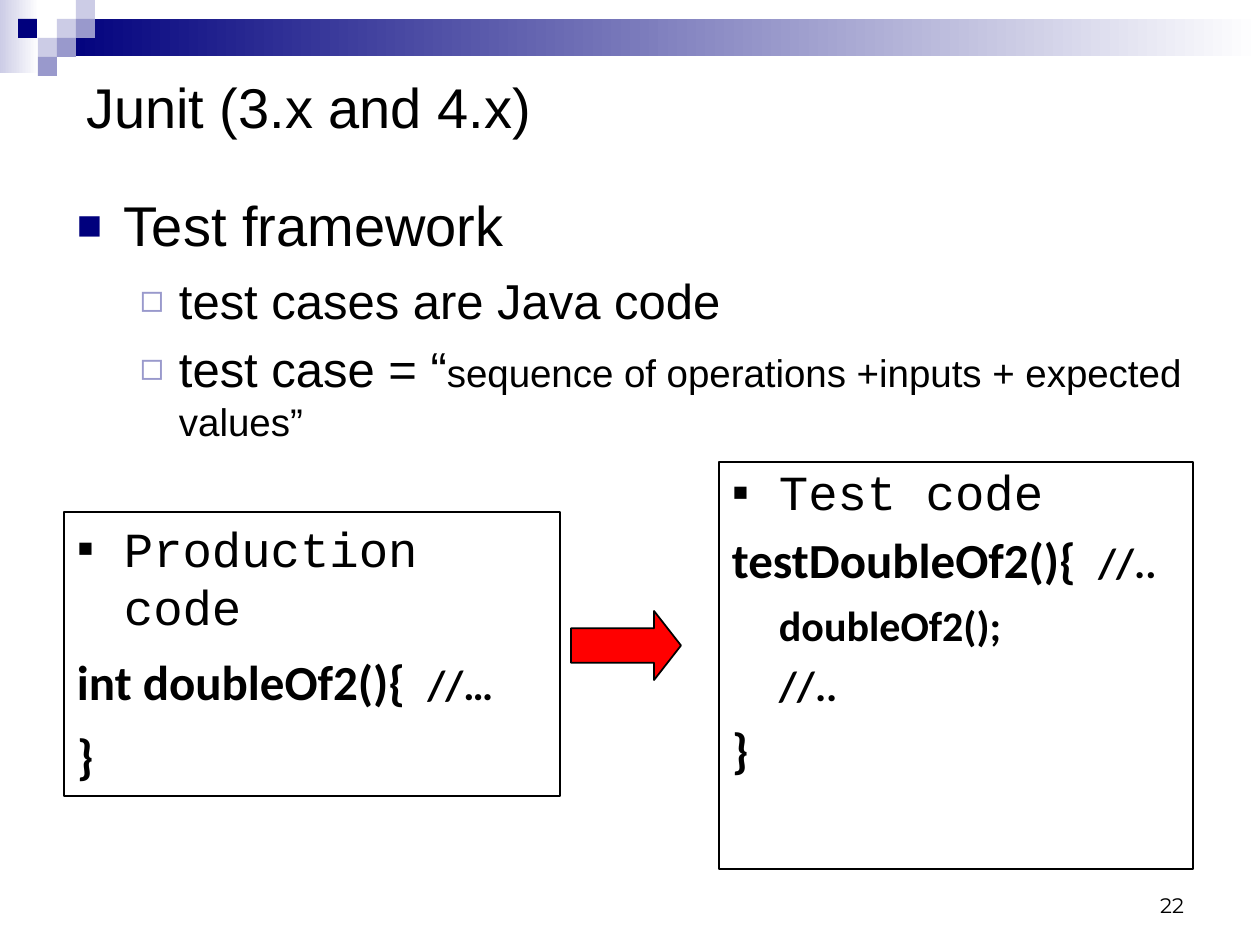
import pptx
import pptx.util
import pptx.dml.color
import pptx.enum.shapes
import pptx.enum.text
import pptx.oxml.ns
import lxml.etree

PX = 914400 / 126
HUES = {"navy": "00007D", "mid": "9999CC", "pale": "CCCCE6",
        "white": "FFFFFF", "black": "000000", "red": "FF0000"}
KIND = pptx.enum.shapes.MSO_SHAPE
ALIGN = pptx.enum.text.PP_ALIGN
ANCHOR = pptx.enum.text.MSO_ANCHOR


def emu(px):
    return round(px * PX)


def hue(name):
    return pptx.dml.color.RGBColor.from_string(HUES[name])


def assign(item, vals):
    for key, val in vals.items():
        setattr(item, key, val)


def place(shape, box):
    assign(shape, dict(zip(("left", "top", "width", "height"), map(emu, box))))


def draw(slide, kind, box, fill=None, line=None):
    shape = slide.shapes.add_shape(kind, *map(emu, box))
    shape.shadow.inherit = False
    if fill:
        shape.fill.solid()
        shape.fill.fore_color.rgb = hue(fill)
    else:
        shape.fill.background()
    if line:
        shape.line.color.rgb = hue("black")
        shape.line.width = pptx.util.Pt(line)
    else:
        shape.line.fill.background()
    return shape


def fade(slide, box, first):
    shape = draw(slide, KIND.RECTANGLE, box)
    shape.fill.gradient()
    shape.fill.gradient_angle = 0
    for stop, name in zip(shape.fill.gradient_stops, (first, "white")):
        stop.color.rgb = hue(name)


def setup(shape, anchor):
    frame = shape.text_frame
    assign(frame, {"word_wrap": True, "vertical_anchor": anchor,
                   "auto_size": pptx.enum.text.MSO_AUTO_SIZE.NONE,
                   "margin_left": emu(13), "margin_right": emu(13),
                   "margin_top": emu(6), "margin_bottom": emu(6)})
    return frame


def write(para, runs, form):
    assign(para, {"alignment": ALIGN.LEFT, "line_spacing": 1.0, **form})
    for text, size, font, bold in runs:
        run = para.add_run()
        run.text = text
        assign(run.font, {"size": pptx.util.Pt(size), "name": font, "bold": bold})
        run.font.color.rgb = hue("black")


def node(root, tag, **attrs):
    return lxml.etree.SubElement(root, pptx.oxml.ns.qn("a:" + tag), attrs)


def indent(para, left, hang, mark=None, color="black", scale=100):
    props = para._p.get_or_add_pPr()
    props.set("marL", str(emu(left)))
    props.set("indent", str(-emu(hang)))
    if mark:
        node(node(props, "buClr"), "srgbClr", val=HUES[color])
        node(props, "buSzPct", val=str(scale * 1000))
        node(props, "buFont", typeface="Arial")
        node(props, "buChar", char=mark)
    else:
        node(props, "buNone")
    node(node(props, "tabLst"), "tab", pos=str(emu(left)), algn="l")


def banner(slide, box):
    left, top, width, height = box
    side = height // 4
    fade(slide, (left, top, 39, height - 3), "pale")
    fade(slide, (left + 3 * side, top + side, width - 3 * side, 2 * side - 1), "navy")
    for col, row, name in ((3, 1, "pale"), (4, 0, "pale"), (4, 1, "mid"),
                           (2, 2, "pale"), (1, 1, "navy"), (3, 2, "mid"),
                           (2, 3, "mid")):
        draw(slide, KIND.RECTANGLE,
             (left + side * col - (col == 1), top + side * row, side, side), name)


def heading(slide, box, text):
    shape = slide.shapes.title
    place(shape, box)
    frame = setup(shape, ANCHOR.MIDDLE)
    write(frame.paragraphs[0], [(text, 32, "Arial", False)], {})


def points(slide, box, rows):
    shape = slide.placeholders[1]
    place(shape, box)
    frame = setup(shape, ANCHOR.TOP)
    marks = ((47, 47, "■", "navy", 75), (102, 39, "◻", "mid", 80))
    for num, (level, gap, runs) in enumerate(rows):
        para = frame.add_paragraph() if num else frame.paragraphs[0]
        write(para, [(text, size, "Arial", False) for text, size in runs],
              {"level": level, "space_before": pptx.util.Pt(gap)})
        indent(para, *marks[level])


def panel(slide, box, title, rows, pitch):
    frame = setup(draw(slide, KIND.RECTANGLE, box, line=0.75), ANCHOR.TOP)
    form = {"line_spacing": pitch, "space_before": pptx.util.Pt(7),
            "space_after": pptx.util.Pt(1.8)}
    head = frame.paragraphs[0]
    write(head, [(title, 28, "Courier New", False)], form)
    indent(head, 47, 47, "▪")
    for runs in rows:
        para = frame.add_paragraph()
        write(para, [(text, size, "Calibri", True) for text, size in runs], form)
        indent(para, 47, 47)


def arrow(slide, box):
    shape = draw(slide, KIND.RIGHT_ARROW, box, "red", 1)
    shape.adjustments[0] = 0.5
    shape.adjustments[1] = 0.39


def number(slide, box, text):
    frame = setup(slide.shapes.add_textbox(*map(emu, box)), ANCHOR.BOTTOM)
    write(frame.paragraphs[0], [(text, 12, "Montserrat", False)],
          {"alignment": ALIGN.RIGHT})


def main():
    deck = pptx.Presentation()
    assign(deck, {"slide_width": emu(1260), "slide_height": emu(945)})
    slide = deck.slides.add_slide(deck.slide_layouts[1])
    banner(slide, (0, 0, 1260, 76))
    heading(slide, (73, 66, 1187, 81), "Junit (3.x and 4.x)")
    points(slide, (64, 185, 1160, 267), [
        (0, 8, [("Test framework", 32)]),
        (1, 7, [("test cases are Java code", 28)]),
        (1, 5.5, [("test case = “", 28),
                  ("sequence of operations +inputs + expected values”", 22)])])
    panel(slide, (719, 462, 474, 407), "Test code", [
        [("testDoubleOf2(){  ", 28), ("//..", 24)],
        [("\tdoubleOf2();", 24)],
        [("\t//..", 24)],
        [("}", 28)]], 0.9)
    panel(slide, (64, 512, 496, 284), "Production code", [
        [("int doubleOf2(){  ", 28), ("//…", 24)],
        [("}", 28)]], 1.0)
    arrow(slide, (571, 611, 110, 69))
    number(slide, (903, 861, 294, 63), "22")
    deck.save("out.pptx")


if __name__ == "__main__":
    main()
